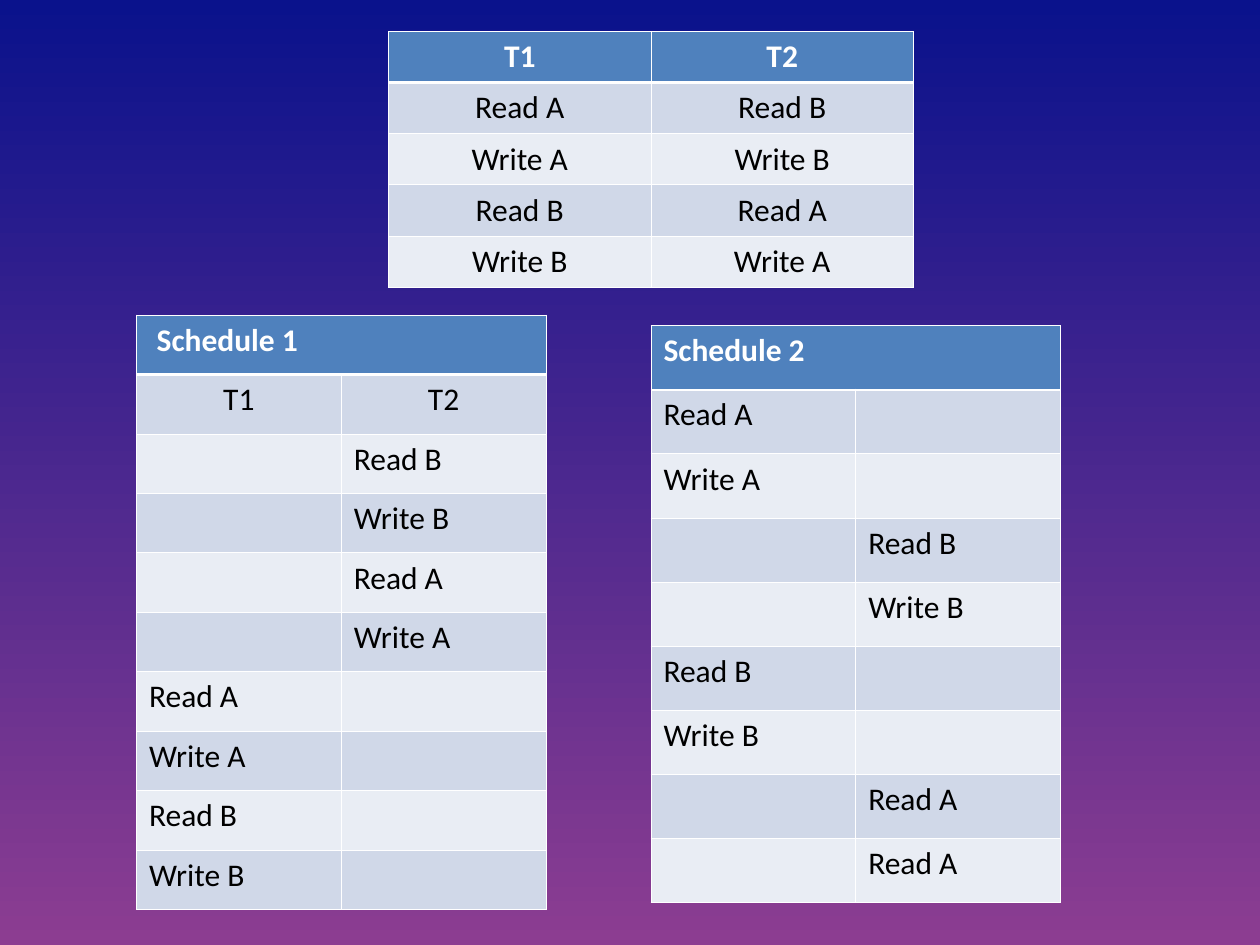
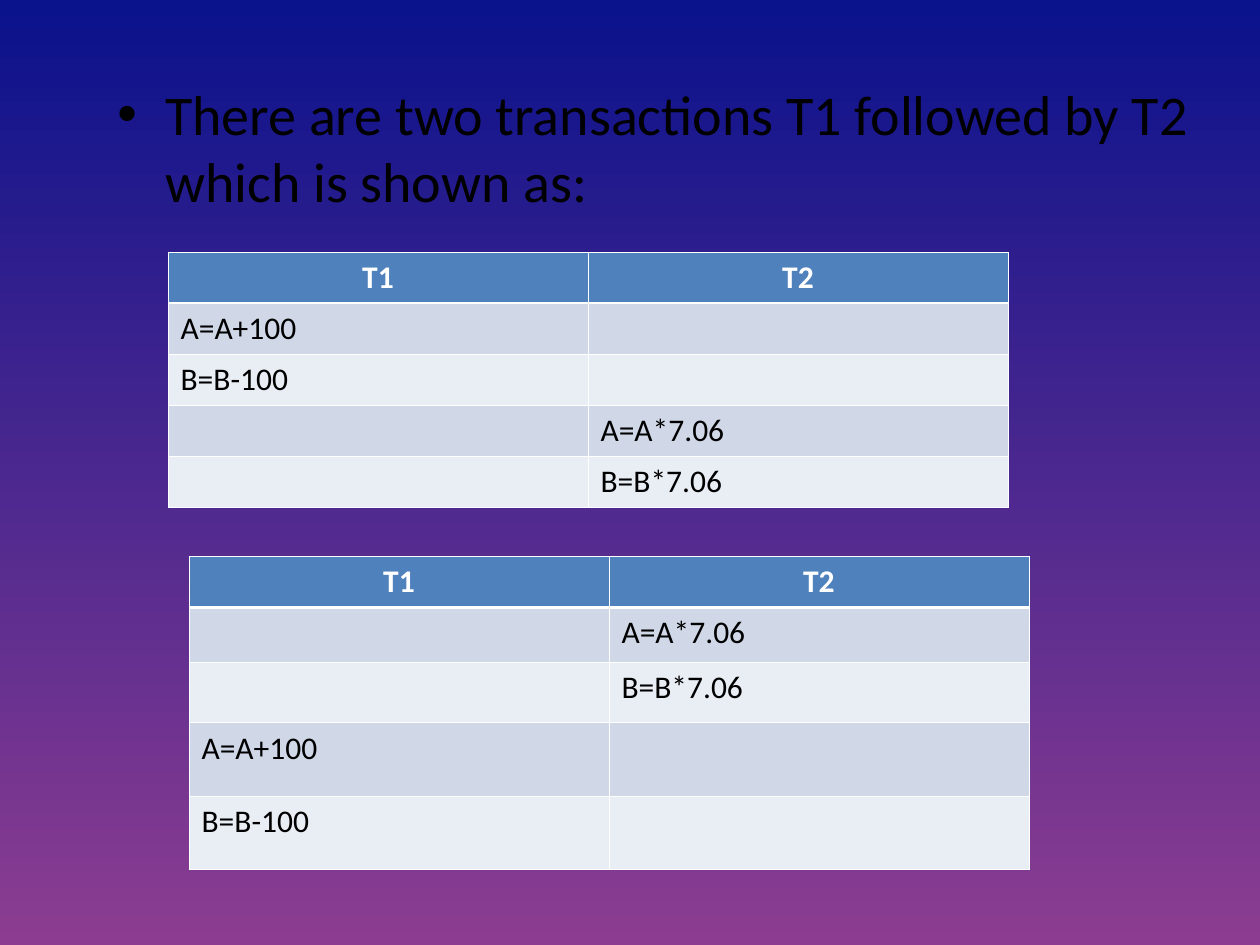
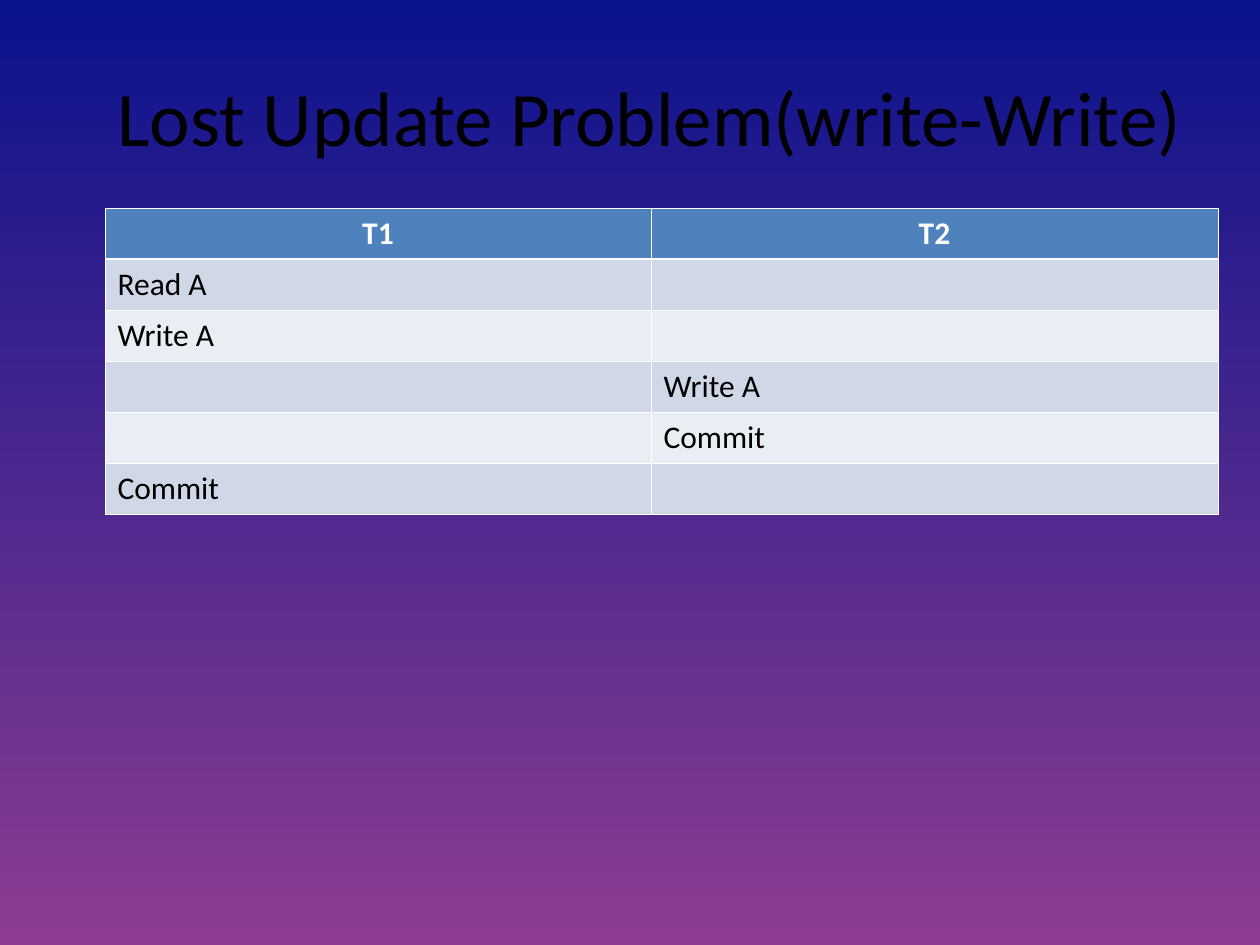
"""Build three slides on transaction schedules and the lost update problem."""
from dataclasses import dataclass

from lxml import etree
from pptx import Presentation
from pptx.dml.color import RGBColor
from pptx.enum.text import MSO_ANCHOR, PP_ALIGN
from pptx.oxml.ns import qn
from pptx.util import Inches, Pt

LEFT, CENTER = PP_ALIGN.LEFT, PP_ALIGN.CENTER
MIDDLE = MSO_ANCHOR.MIDDLE


@dataclass(frozen=True)
class Theme:
    font: str = "Calibri"
    top: str = "0A128C"
    bottom: str = "8C3D91"
    header: str = "4F81BD"
    bands: tuple = ("E9EDF4", "D0D8E8")
    ink: str = "000000"
    white: str = "FFFFFF"
    title_size: int = 44
    body_size: int = 32
    cell_size: int = 18
    thin: float = 0.45
    thick: float = 1.47


theme = Theme()
GRID = Inches(10) / 120
ROW = 4.87


def style(paragraph, size, color, align=LEFT, bold=False):
    paragraph.alignment = align
    font = paragraph.font
    font.name, font.size, font.bold = theme.font, Pt(size), bold
    font.color.rgb = RGBColor.from_string(color)
    for span in paragraph.runs:
        span.font.name, span.font.size, span.font.bold = theme.font, Pt(size), bold
        span.font.color.rgb = RGBColor.from_string(color)


def add_schedule(page, left, top, widths, heights, rows, centred=False):
    frame = page.shapes.add_table(
        len(rows), len(widths), round(left * GRID), round(top * GRID),
        round(sum(widths) * GRID), round(sum(heights) * GRID))
    table = frame.table
    for column, width in zip(table.columns, widths):
        column.width = round(width * GRID)
    for row, height in zip(table.rows, heights):
        row.height = round(height * GRID)
    for row_index, texts in enumerate(rows):
        is_header = row_index == 0
        for column_index, text in enumerate(texts):
            cell = table.cell(row_index, column_index)
            cell.text = text
            middle = centred or text in ("T1", "T2")
            style(cell.text_frame.paragraphs[0], theme.cell_size,
                  theme.white if is_header else theme.ink,
                  CENTER if middle else LEFT, is_header)
            properties = cell._tc.get_or_add_tcPr()
            weights = {"lnL": theme.thin, "lnR": theme.thin,
                       "lnT": theme.thick if row_index == 1 else theme.thin,
                       "lnB": theme.thick if is_header else theme.thin}
            for side, weight in weights.items():
                line = etree.SubElement(properties, qn(f"a:{side}"), w=str(Pt(weight)))
                fill = etree.SubElement(line, qn("a:solidFill"))
                etree.SubElement(fill, qn("a:srgbClr"), val=theme.white)
            cell.fill.solid()
            cell.fill.fore_color.rgb = RGBColor.from_string(
                theme.header if is_header else theme.bands[row_index % 2])
    if not rows[0][1]:
        table.cell(0, 0).merge(table.cell(0, 1))
    return table


deck = Presentation()
deck.slide_width, deck.slide_height = Inches(10), Inches(7.5)
title_only, blank = deck.slide_layouts[5], deck.slide_layouts[6]

backdrop = deck.slide_master.background.fill
backdrop.gradient()
backdrop.gradient_angle = 270
for stop, color, position in zip(backdrop.gradient_stops, (theme.top, theme.bottom), (0, 1)):
    stop.color.rgb = RGBColor.from_string(color)
    stop.position = position

page = deck.slides.add_slide(blank)
add_schedule(page, 37, 3, [25, 25], [ROW] * 5, [
    ("T1", "T2"),
    ("Read A", "Read B"),
    ("Write A", "Write B"),
    ("Read B", "Read A"),
    ("Write B", "Write A"),
], centred=True)
first_schedule = add_schedule(page, 13, 30, [19.5, 19.5], [5.66] * 10, [
    ("Schedule 1", ""),
    ("T1", "T2"),
    ("", "Read B"),
    ("", "Write B"),
    ("", "Read A"),
    ("", "Write A"),
    ("Read A", ""),
    ("Write A", ""),
    ("Read B", ""),
    ("Write B", ""),
])
first_schedule.cell(0, 0).margin_left = Inches(0.16)
add_schedule(page, 62, 31, [19.5, 19.5], [6.11] * 9, [
    ("Schedule 2", ""),
    ("Read A", ""),
    ("Write A", ""),
    ("", "Read B"),
    ("", "Write B"),
    ("Read B", ""),
    ("Write B", ""),
    ("", "Read A"),
    ("", "Read A"),
])

page = deck.slides.add_slide(blank)
box = page.shapes.add_textbox(
    round(10 * GRID), round(7 * GRID), round(106 * GRID), round(70.3 * GRID))
box.text_frame.word_wrap = True
para = box.text_frame.paragraphs[0]
para.text = "There are two transactions T1 followed by T2 which is shown as:"
bullet = para._p.get_or_add_pPr()
bullet.set("marL", str(Inches(0.38)))
bullet.set("indent", str(-Inches(0.38)))
bullet_color = etree.SubElement(bullet, qn("a:buClr"))
etree.SubElement(bullet_color, qn("a:srgbClr"), val=theme.ink)
etree.SubElement(bullet, qn("a:buFont"), typeface="Arial")
etree.SubElement(bullet, qn("a:buChar"), char="•")
style(para, theme.body_size, theme.ink)

header = ("T1", "T2")
first_steps = [("A=A+100", ""), ("B=B-100", "")]
second_steps = [("", "A=A*7.06"), ("", "B=B*7.06")]
add_schedule(page, 16, 24, [40, 40], [ROW] * 5, [header, *first_steps, *second_steps])
add_schedule(page, 18, 53, [40, 40], [4.85, 5.2, 5.8, 7, 7],
             [header, *second_steps, *first_steps])

page = deck.slides.add_slide(title_only)
title = page.shapes.title
title.left, title.top = round(10 * GRID), round(3.5 * GRID)
title.width, title.height = round(106 * GRID), round(15 * GRID)
title.text_frame.text = "Lost Update Problem(write-Write)"
title.text_frame.vertical_anchor = MIDDLE
style(title.text_frame.paragraphs[0], theme.title_size, theme.ink)
add_schedule(page, 10, 19.8, [52, 54], [ROW] * 6, [
    header,
    ("Read A", ""),
    ("Write A", ""),
    ("", "Write A"),
    ("", "Commit"),
    ("Commit", ""),
])

deck.save("out.pptx")
